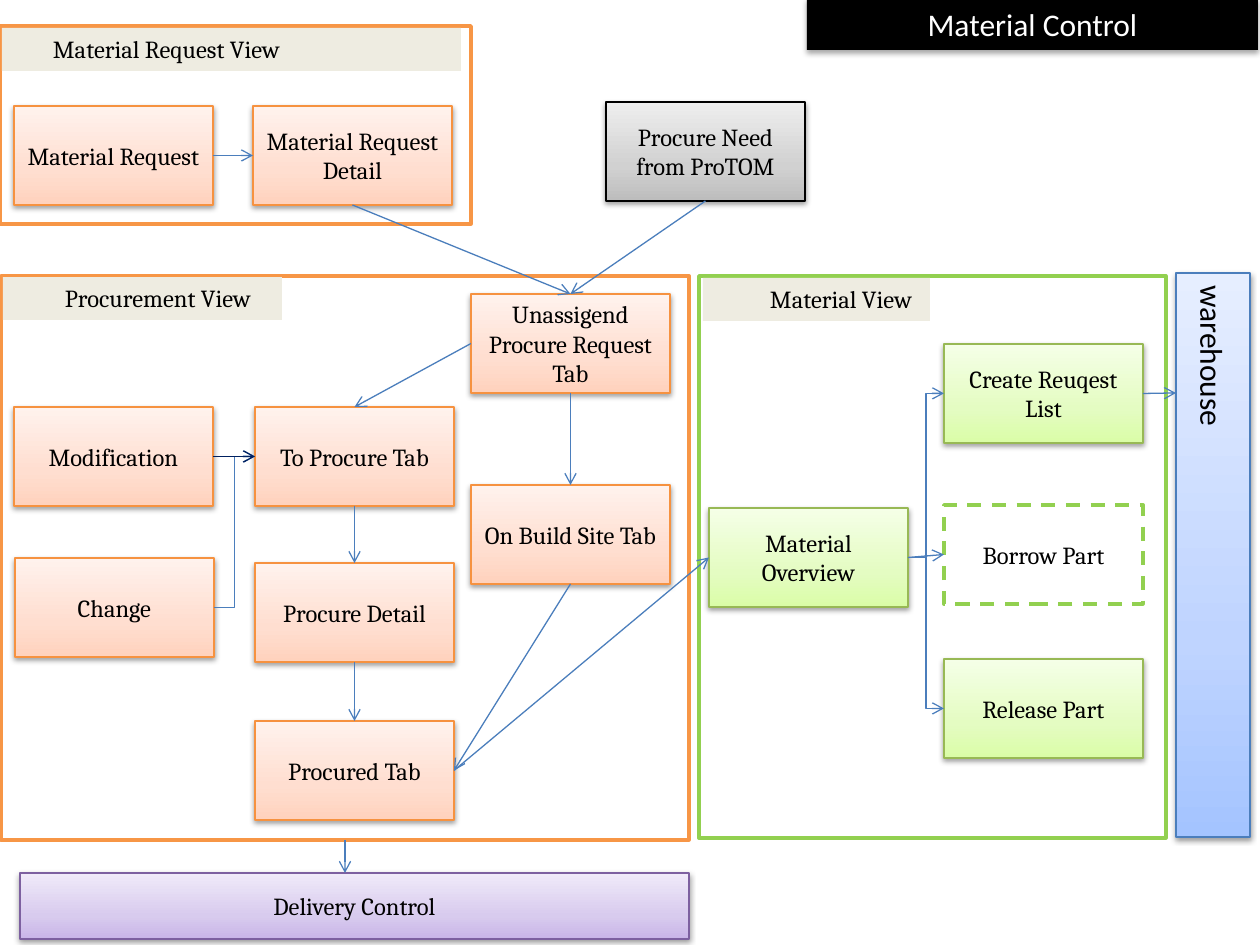
from copy import deepcopy

from lxml.etree import SubElement
from pptx import Presentation
from pptx.dml.color import RGBColor
from pptx.enum.dml import MSO_LINE
from pptx.enum.shapes import MSO_CONNECTOR, MSO_SHAPE
from pptx.enum.text import MSO_ANCHOR, PP_ALIGN
from pptx.oxml.ns import qn
from pptx.util import Emu, Inches, Pt

BLACK = RGBColor(0x00, 0x00, 0x00)
WHITE = RGBColor(0xFF, 0xFF, 0xFF)
BEIGE = RGBColor(0xEE, 0xEC, 0xE1)
NAVY = RGBColor(0x00, 0x20, 0x60)
BLUE = RGBColor(0x4B, 0x7E, 0xBC)
PURPLE = RGBColor(0x7D, 0x60, 0xA0)
ORANGE = RGBColor(0xF6, 0x92, 0x40)
OLIVE = RGBColor(0x98, 0xB9, 0x55)
PANEL_ORANGE = RGBColor(0xF7, 0x96, 0x46)
PANEL_GREEN = RGBColor(0x92, 0xD0, 0x50)

# Gradient colours from bottom to top
PEACH_FADE = (RGBColor(0xFF, 0xD2, 0xBD), RGBColor(0xFF, 0xDE, 0xD0), RGBColor(0xFF, 0xF2, 0xED))
GREY_FADE = (RGBColor(0xBD, 0xBD, 0xBD), RGBColor(0xD1, 0xD1, 0xD1), RGBColor(0xEE, 0xEE, 0xEE))
GREEN_FADE = (RGBColor(0xDA, 0xFD, 0xA7), RGBColor(0xE4, 0xFC, 0xC2), RGBColor(0xF5, 0xFF, 0xE7))
PURPLE_FADE = (RGBColor(0xC9, 0xB5, 0xE8), RGBColor(0xD8, 0xCB, 0xEE), RGBColor(0xF0, 0xEA, 0xF9))
BLUE_FADE = (RGBColor(0xA4, 0xC4, 0xFF), RGBColor(0xBF, 0xD4, 0xFF), RGBColor(0xE6, 0xEE, 0xFF))

BOX_W, BOX_H = 199, 99
TOP, LEFT, BOTTOM, RIGHT = range(4)


def px(n):
    return Emu(round(n * 914400 / 126))


# Basic parts
def add_rect(s, x, y, w, h, fill=None, line=None, width=0.75):
    sp = s.shapes.add_shape(MSO_SHAPE.RECTANGLE, px(x), px(y), px(w), px(h))
    sp.shadow.inherit = False
    if fill is None:
        sp.fill.background()
    elif isinstance(fill, RGBColor):
        sp.fill.solid()
        sp.fill.fore_color.rgb = fill
    else:
        sp.fill.gradient()
        sp.fill.gradient_angle = 90
        stops = sp._element.spPr.find(".//" + qn("a:gsLst"))
        stops.append(deepcopy(stops[0]))
        for stop, pos, color in zip(sp.fill.gradient_stops, (0, 0.35, 1), fill):
            stop.position = pos
            stop.color.rgb = color
    if line is None:
        sp.line.fill.background()
    else:
        sp.line.color.rgb = line
        sp.line.width = Pt(width)
    return sp


def add_shadow(sp, dist=20000, alpha=38000):
    effects = sp._element.spPr.find(qn("a:effectLst"))
    shadow = SubElement(effects, qn("a:outerShdw"), blurRad="40000", dist=str(dist),
                        dir="5400000", rotWithShape="0")
    color = SubElement(shadow, qn("a:srgbClr"), val="000000")
    SubElement(color, qn("a:alpha"), val=str(alpha))


def set_text(sp, text, size=14, font="Cambria", color=BLACK,
             align=PP_ALIGN.CENTER, anchor=MSO_ANCHOR.MIDDLE):
    tf = sp.text_frame
    tf.text = text
    tf.word_wrap = True
    tf.vertical_anchor = anchor
    p = tf.paragraphs[0]
    p.alignment = align
    r = p.runs[0]
    r.font.size = Pt(size)
    r.font.name = font
    r.font.color.rgb = color


def add_box(s, text, x, y, fill, line, w=BOX_W, h=BOX_H):
    sp = add_rect(s, x, y, w, h, fill, line)
    add_shadow(sp)
    set_text(sp, text)
    return sp


def add_panel(s, box, color, title, title_box, indent):
    x, y, w, h = box
    add_rect(s, x, y, w, h, line=color, width=2)
    dx, dy, tw, th = title_box
    label = add_rect(s, x + dx, y + dy, tw, th, BEIGE)
    set_text(label, title, align=PP_ALIGN.LEFT, anchor=MSO_ANCHOR.TOP)
    label.text_frame.margin_left = px(indent)


def add_arrow(s, begin, end, color=BLUE, kind=MSO_CONNECTOR.STRAIGHT):
    """Each end is either a (shape, side) pair or an (x, y) point in px."""
    points = []
    for a, b in (begin, end):
        if isinstance(a, int):
            points += [px(a), px(b)]
        else:
            points += [a.left + a.width * (0.5, 0, 0.5, 1)[b],
                       a.top + a.height * (0, 0.5, 1, 0.5)[b]]
    c = s.shapes.add_connector(kind, *(Emu(round(v)) for v in points))
    if not isinstance(begin[0], int):
        c.begin_connect(*begin)
    if not isinstance(end[0], int):
        c.end_connect(*end)
    c.line.color.rgb = color
    c.line.width = Pt(0.75)
    SubElement(c.line._get_or_add_ln(), qn("a:tailEnd"), type="arrow")
    SubElement(c._element.spPr, qn("a:effectLst"))


# Regions
def request_view(s, box):
    x, y = box[:2]
    add_panel(s, box, PANEL_ORANGE, "Material Request View", (2, 2, 459, 43), 51)
    request = add_box(s, "Material Request", x + 14, y + 80, PEACH_FADE, ORANGE)
    detail = add_box(s, "Material Request Detail", x + 253, y + 80, PEACH_FADE, ORANGE)
    add_arrow(s, (request, RIGHT), (detail, LEFT))
    return detail


def procurement_view(s, box):
    x, y = box[:2]
    add_panel(s, box, PANEL_ORANGE, "Procurement View", (2, 1, 279, 43), 62)
    layout = (("Unassigend Procure Request Tab", 470, 18), ("On Build Site Tab", 470, 209),
              ("To Procure Tab", 254, 131), ("Procure Detail", 254, 287),
              ("Procured Tab", 254, 445), ("Modification", 13, 131), ("Change", 14, 282))
    unassigned, build_site, to_procure, detail, procured, modification, change = (
        add_box(s, text, x + dx, y + dy, PEACH_FADE, ORANGE) for text, dx, dy in layout)
    add_arrow(s, (unassigned, LEFT), (to_procure, TOP))
    add_arrow(s, (unassigned, BOTTOM), (build_site, TOP))
    add_arrow(s, (to_procure, BOTTOM), (detail, TOP))
    add_arrow(s, (detail, BOTTOM), (procured, TOP))
    add_arrow(s, (build_site, BOTTOM), (procured, RIGHT))
    add_arrow(s, (change, RIGHT), (to_procure, LEFT), kind=MSO_CONNECTOR.ELBOW)
    add_arrow(s, (modification, RIGHT), (to_procure, LEFT), NAVY)
    return unassigned, procured


def material_view(s, box):
    x, y = box[:2]
    add_panel(s, box, PANEL_GREEN, "Material View", (4, 2, 227, 43), 67)
    overview = add_box(s, "Material Overview", x + 10, y + 232, GREEN_FADE, OLIVE)
    create = add_box(s, "Create Reuqest List", x + 245, y + 68, GREEN_FADE, OLIVE)
    release = add_box(s, "Release Part", x + 245, y + 383, GREEN_FADE, OLIVE)
    borrow = add_rect(s, x + 245, y + 229, BOX_W, BOX_H, line=PANEL_GREEN, width=2)
    borrow.line.dash_style = MSO_LINE.DASH
    set_text(borrow, "Borrow Part")
    add_arrow(s, (overview, RIGHT), (borrow, LEFT))
    for target in (create, release):
        add_arrow(s, (overview, RIGHT), (target, LEFT), kind=MSO_CONNECTOR.ELBOW)
    return overview, create


def warehouse_bar(s, box):
    sp = add_rect(s, *box, BLUE_FADE, BLUE)
    add_shadow(sp)
    set_text(sp, "warehouse", 18, "Calibri")
    sp.text_frame._txBody.bodyPr.set("vert", "eaVert")


def title_bar(s, box):
    sp = add_rect(s, *box, BLACK)
    add_shadow(sp, 23000, 35000)
    set_text(sp, "Material Control", 18, "Calibri", WHITE)


def main():
    prs = Presentation()
    prs.slide_width, prs.slide_height = Inches(10), Inches(7.5)
    s = prs.slides.add_slide(prs.slide_layouts[6])

    request_detail = request_view(s, (0, 26, 471, 198))
    unassigned, procured = procurement_view(s, (1, 276, 688, 564))
    overview, create = material_view(s, (699, 276, 467, 562))
    need = add_box(s, "Procure Need from ProTOM", 606, 102, GREY_FADE, BLACK)
    add_box(s, "Delivery Control", 20, 873, PURPLE_FADE, PURPLE, 669, 66)
    warehouse_bar(s, (1176, 273, 74, 564))
    title_bar(s, (807, -2, 451, 52))

    # Arrows between regions
    add_arrow(s, (request_detail, BOTTOM), (unassigned, TOP))
    add_arrow(s, (need, BOTTOM), (unassigned, TOP))
    add_arrow(s, (procured, RIGHT), (overview, LEFT))
    add_arrow(s, (create, RIGHT), (1176, 393))
    add_arrow(s, (345, 840), (345, 873))

    prs.save("out.pptx")


if __name__ == "__main__":
    main()
